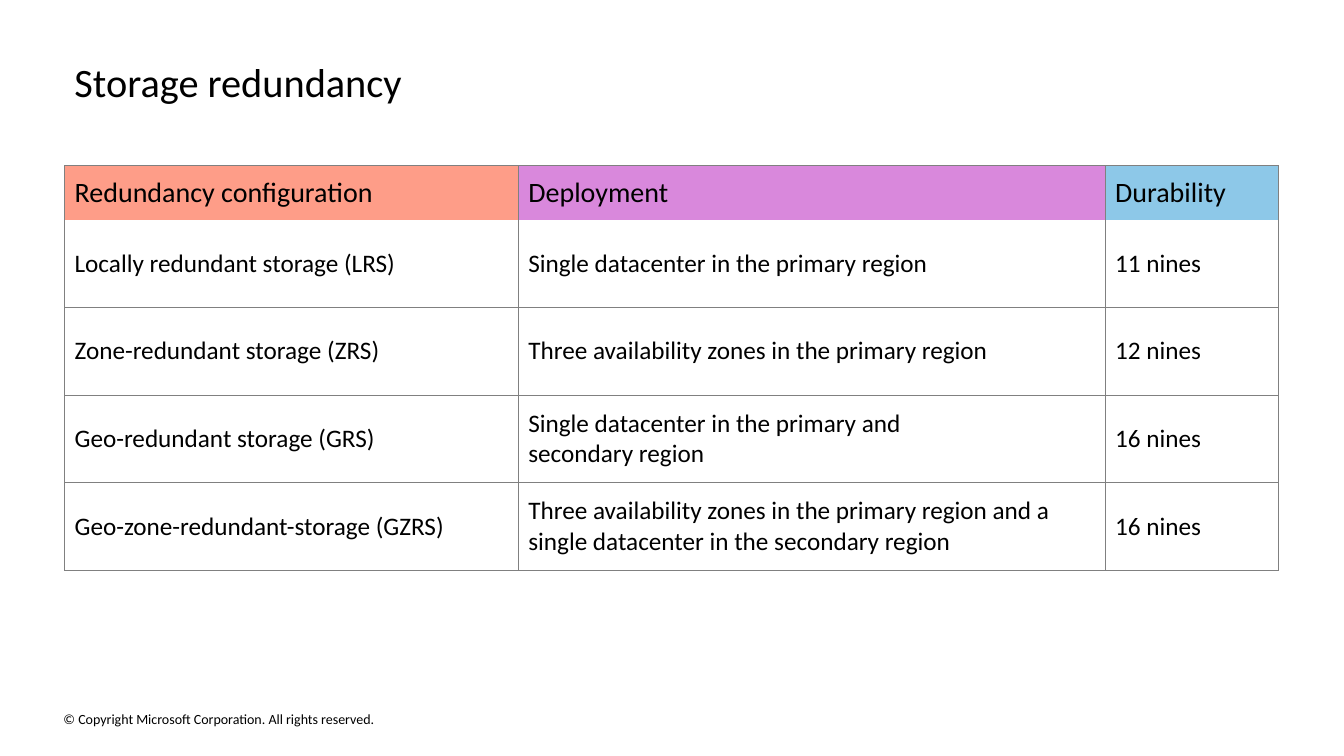
from lxml import etree
from pptx import Presentation
from pptx import util as u
from pptx.dml.color import RGBColor
from pptx.enum import text
from pptx.oxml import ns

BLACK = RGBColor(0x00, 0x00, 0x00)
GRAY = RGBColor(0x80, 0x80, 0x80)
CORAL = RGBColor(0xFE, 0x9D, 0x88)
ORCHID = RGBColor(0xD9, 0x88, 0xDC)
SKY = RGBColor(0x8D, 0xC8, 0xE8)

COLUMNS = [("Redundancy configuration", 4.5, CORAL),
           ("Deployment", 5.82, ORCHID),
           ("Durability", 1.72, SKY)]
OPTIONS = [
    ("Locally redundant storage (LRS)",
     "Single datacenter in the primary region", "11 nines"),
    ("Zone-redundant storage (ZRS)",
     "Three availability zones in the primary region", "12 nines"),
    ("Geo-redundant storage (GRS)",
     "Single datacenter in the primary and \vsecondary region", "16 nines"),
    ("Geo-zone-redundant-storage (GZRS)",
     "Three availability zones in the primary region and a "
     "single datacenter in the secondary region", "16 nines"),
]
HEADER_HEIGHT, ROW_HEIGHT = 0.54, 0.87


def write(tf, content, size, font="Calibri", color=BLACK, line_spacing=None):
    tf.word_wrap = True
    p = tf.paragraphs[0]
    p.text = content
    p.line_spacing = line_spacing
    for r in p.runs:
        r.font.name = font
        r.font.size = u.Pt(size)
        r.font.color.rgb = color


class SlideBuilder:
    """Draws text boxes and ruled tables on one slide in a shared style."""

    def __init__(self, s, rule=GRAY, rule_width=0.5):
        self.s = s
        self.rule = rule
        self.rule_width = rule_width

    def text(self, content, left, top, width, height, inset=(0, 0), **style):
        sp = self.s.shapes.add_textbox(*map(u.Inches, (left, top, width, height)))
        tf = sp.text_frame
        tf.margin_left = tf.margin_right = u.Inches(inset[0])
        tf.margin_top = tf.margin_bottom = u.Inches(inset[1])
        tf.vertical_anchor = text.MSO_ANCHOR.MIDDLE
        write(tf, content, **style)

    def border(self, cell, sides):
        tc_pr = cell._tc.get_or_add_tcPr()
        for side in "LRTB":
            ln = etree.SubElement(tc_pr, ns.qn(f"a:ln{side}"),
                                  w=str(u.Pt(self.rule_width)))
            if side in sides:
                fill = etree.SubElement(ln, ns.qn("a:solidFill"))
                etree.SubElement(fill, ns.qn("a:srgbClr"), val=str(self.rule))
            else:
                etree.SubElement(ln, ns.qn("a:noFill"))

    def cell(self, cell, content, size, sides, fill=None):
        self.border(cell, sides)
        if fill is None:
            cell.fill.background()
        else:
            cell.fill.solid()
            cell.fill.fore_color.rgb = fill
        cell.vertical_anchor = text.MSO_ANCHOR.MIDDLE
        write(cell.text_frame, content, size)

    def table(self, columns, rows, left, top):
        width = sum(w for _, w, _ in columns)
        height = HEADER_HEIGHT + ROW_HEIGHT * len(rows)
        table = self.s.shapes.add_table(
            len(rows) + 1, len(columns),
            *map(u.Inches, (left, top, width, height))).table
        table.first_row = table.horz_banding = False
        for i, row in enumerate(table.rows):
            row.height = u.Inches(ROW_HEIGHT if i else HEADER_HEIGHT)
        for j, (heading, column_width, fill) in enumerate(columns):
            table.columns[j].width = u.Inches(column_width)
            self.cell(table.cell(0, j), heading, 20, "LRT", fill)
            for i, row in enumerate(rows, 1):
                self.cell(table.cell(i, j), row[j], 18,
                          "LRB" if i == 1 else "LRTB")


def main():
    prs = Presentation()
    prs.slide_width, prs.slide_height = u.Inches(13.33), u.Inches(7.5)
    slide = SlideBuilder(prs.slides.add_slide(prs.slide_layouts[6]))
    slide.text("Storage redundancy", 0.64, 0.64, 12.04, 0.4,
               inset=(0.1, 0.05), size=28.8, line_spacing=0.9)
    slide.table(COLUMNS, OPTIONS, 0.64, 1.64)
    slide.text("© Copyright Microsoft Corporation. All rights reserved.",
               0.63, 7.02, 4.54, 0.22, size=10)
    prs.save("out.pptx")


if __name__ == "__main__":
    main()
